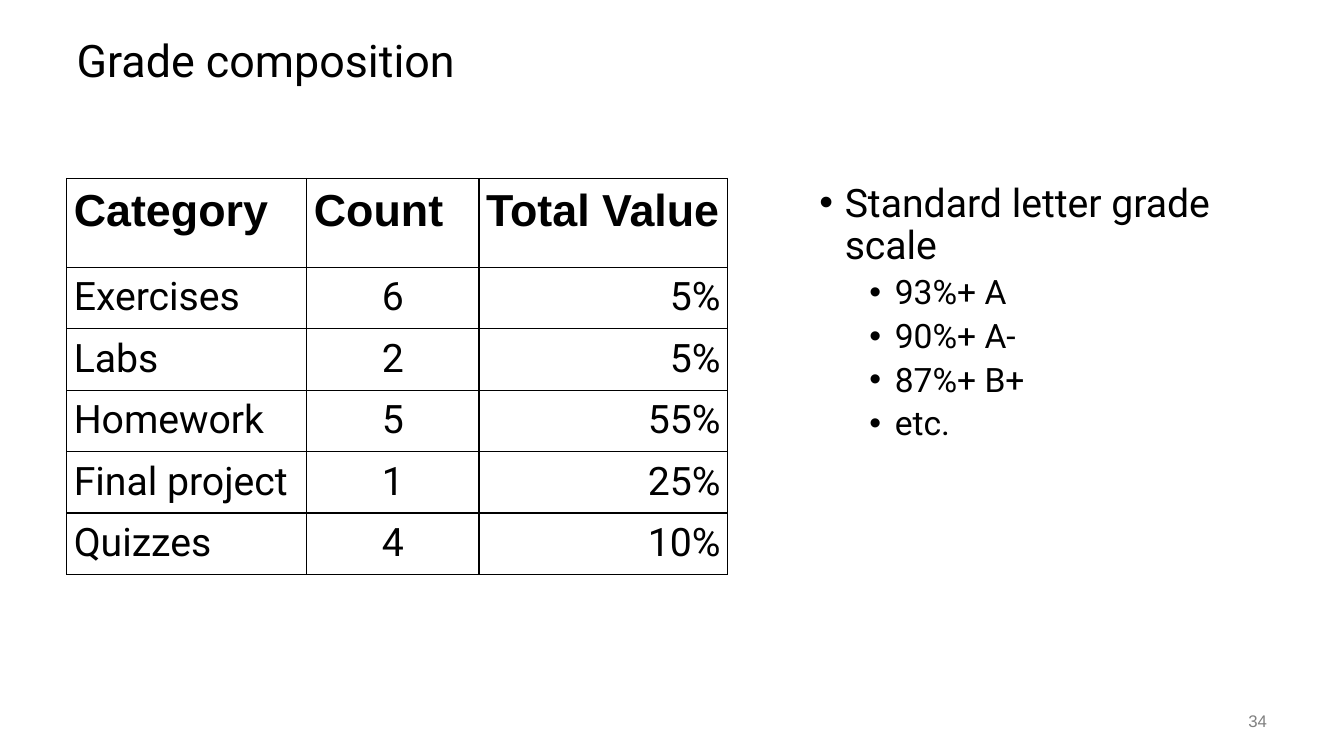
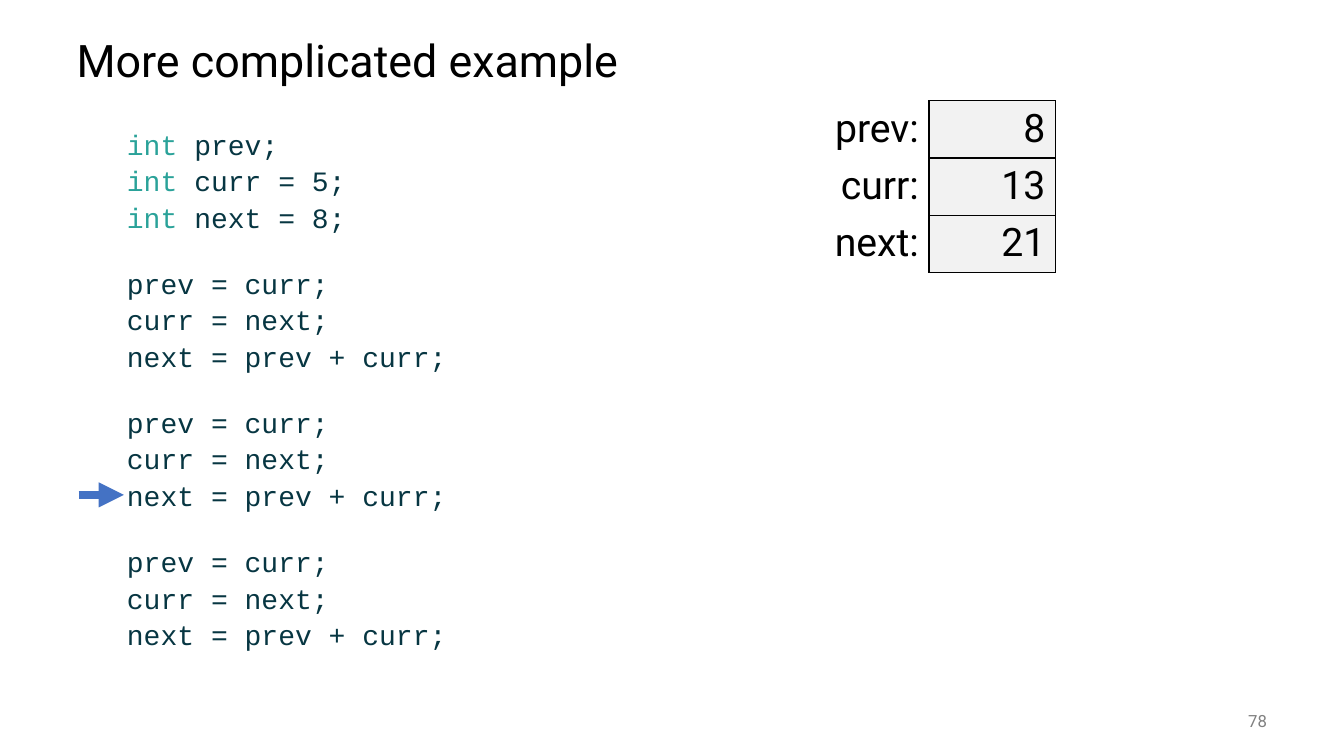
from lxml.etree import SubElement
from pptx import Presentation
from pptx.dml.color import RGBColor
from pptx.enum.shapes import MSO_CONNECTOR
from pptx.enum.text import MSO_ANCHOR as Anchor, PP_ALIGN as Align
from pptx.oxml import parse_xml
from pptx.oxml.ns import nsdecls, qn
from pptx.util import Cm, Pt

BLACK = RGBColor(0x00, 0x00, 0x00)
GRAY = RGBColor(0x80, 0x80, 0x80)
PALE = RGBColor(0xF2, 0xF2, 0xF2)
TEAL = RGBColor(0x2A, 0xA2, 0x99)
NAVY = RGBColor(0x07, 0x36, 0x42)
BLUE = RGBColor(0x44, 0x72, 0xC4)
SANS, PLAIN, MONO = "Roboto", "Arial", "Courier New"

LEFT = 1.68
BODY_WIDTH = 30.48
SIDES = "LRTB"

GRADES = [
    ("Category", "Count", "Total Value"),
    ("Exercises", "6", "5%"),
    ("Labs", "2", "5%"),
    ("Homework", "5", "55%"),
    ("Final project", "1", "25%"),
    ("Quizzes", "4", "10%"),
]
SCALE = ["93%+ A", "90%+ A-", "87%+ B+", "etc."]
VARIABLES = [("prev:", "8"), ("curr:", "13"), ("next:", "21")]
STEP = ["prev = curr;", "curr = next;", "next = prev + curr;"]
CODE = [["int prev;", "int curr = 5;", "int next = 8;"], STEP, STEP, STEP]


def add_box(page, left, top, width, height, anchor=Anchor.TOP):
    frame = page.shapes.add_textbox(Cm(left), Cm(top), Cm(width), Cm(height)).text_frame
    frame.word_wrap = True
    frame.vertical_anchor = anchor
    return frame


def write(frame, spans, *, size, font=SANS, color=BLACK, bold=False, align=Align.LEFT,
          spacing=None, before=0, indent=0, hanging=0, bullet=None):
    para = frame.paragraphs[0]
    if para.runs:
        para = frame.add_paragraph()
    props = para._p.get_or_add_pPr()
    props.set("marL", str(Cm(indent)))
    props.set("indent", str(Cm(-hanging)))
    if bullet:
        SubElement(props, qn("a:buFont")).set("typeface", "Arial")
        SubElement(props, qn("a:buChar")).set("char", bullet)
    para.alignment = align
    para.space_before = Pt(before)
    if spacing:
        para.line_spacing = spacing
    if isinstance(spans, str):
        spans = [(spans, color)]
    for text, shade in spans:
        span = para.add_run()
        span.text = text
        span.font.size = Pt(size)
        span.font.name = font
        span.font.bold = bold
        span.font.color.rgb = shade


def border(cell, drawn):
    props = cell._tc.get_or_add_tcPr()
    for place, side in enumerate(SIDES):
        paint = f'<a:solidFill><a:srgbClr val="{BLACK}"/></a:solidFill>' if side in drawn else "<a:noFill/>"
        props.insert(place, parse_xml(f'<a:ln{side} {nsdecls("a")} w="{Pt(1)}">{paint}</a:ln{side}>'))


def add_grid(page, left, top, widths, heights):
    table = page.shapes.add_table(len(heights), len(widths), Cm(left), Cm(top),
                                  Cm(sum(widths)), Cm(sum(heights))).table
    table.first_row = table.horz_banding = False
    for column, width in zip(table.columns, widths):
        column.width = Cm(width)
    for row, height in zip(table.rows, heights):
        row.height = Cm(height)
    return table


def add_page(deck, title, number, number_font=SANS):
    page = deck.slides.add_slide(deck.slide_layouts[6])
    write(add_box(page, LEFT, 0.64, BODY_WIDTH, 1.9, Anchor.MIDDLE), title, size=32, spacing=0.9)
    write(add_box(page, 29.64, 17.65, 2.54, 1.02, Anchor.MIDDLE), number, size=12,
          font=number_font, color=GRAY, align=Align.RIGHT)
    return page


def add_grade_table(page, left, top):
    table = add_grid(page, left, top, [6.05, 4.34, 6.27], [2.24] + [1.51] * 5)
    aligns = [Align.LEFT, Align.CENTER, Align.RIGHT]
    for row, texts in enumerate(GRADES):
        for column, text in enumerate(texts):
            cell = table.cell(row, column)
            cell.margin_left = cell.margin_right = cell.margin_top = cell.margin_bottom = Cm(0.18)
            cell.fill.background()
            border(cell, SIDES)
            if row == 0:
                write(cell.text_frame, text, size=32, font=PLAIN, bold=True)
            else:
                write(cell.text_frame, text, size=28, align=aligns[column])


def add_scale(page, left, top, width, height):
    frame = add_box(page, left, top, width, height)
    write(frame, "Standard letter grade scale", size=28, spacing=0.9,
          indent=0.64, hanging=0.64, bullet="•")
    for grade in SCALE:
        write(frame, grade, size=24, spacing=0.9, before=5.3,
              indent=1.9, hanging=0.64, bullet="•")


def add_code(page, left, top, width, height):
    frame = add_box(page, left, top, width, height)
    for block_index, block in enumerate(CODE):
        for line_index, line in enumerate(block):
            before = 4.4
            if line_index == 0:
                before = 25.8 if block_index else 0
            keyword = "int " if line.startswith("int ") else ""
            spans = [(keyword, TEAL)] if keyword else []
            spans.append((line[len(keyword):], NAVY))
            write(frame, spans, size=20, font=MONO, spacing=0.9, before=before, indent=1.27)


def add_variables(page, left, top):
    table = add_grid(page, left, top, [3.19, 3.19], [1.41] * 3)
    for row, texts in enumerate(VARIABLES):
        for column, text in enumerate(texts):
            cell = table.cell(row, column)
            if column:
                cell.fill.solid()
                cell.fill.fore_color.rgb = PALE
            else:
                cell.fill.background()
            border(cell, SIDES if column else "R")
            write(cell.text_frame, text, size=28, align=Align.RIGHT)


def add_pointer(page, left, middle, length):
    arrow = page.shapes.add_connector(MSO_CONNECTOR.STRAIGHT, Cm(left), Cm(middle),
                                      Cm(left + length), Cm(middle))
    arrow.line.color.rgb = BLUE
    arrow.line.width = Pt(6)
    SubElement(arrow.line._get_or_add_ln(), qn("a:tailEnd")).set("type", "triangle")
    SubElement(arrow._element.spPr, qn("a:effectLst"))


def main():
    deck = Presentation()
    deck.slide_width, deck.slide_height = Cm(33.87), Cm(19.05)

    grades = add_page(deck, "Grade composition", "34", PLAIN)
    add_scale(grades, 20.4, 4.5, 11.76, 12.65)
    add_grade_table(grades, LEFT, 4.5)

    example = add_page(deck, "More complicated example", "78")
    add_code(example, LEFT, 3.18, BODY_WIDTH, 13.97)
    add_variables(example, 20.22, 2.54)
    add_pointer(example, 1.98, 12.47, 1.14)

    deck.save("out.pptx")


if __name__ == "__main__":
    main()
